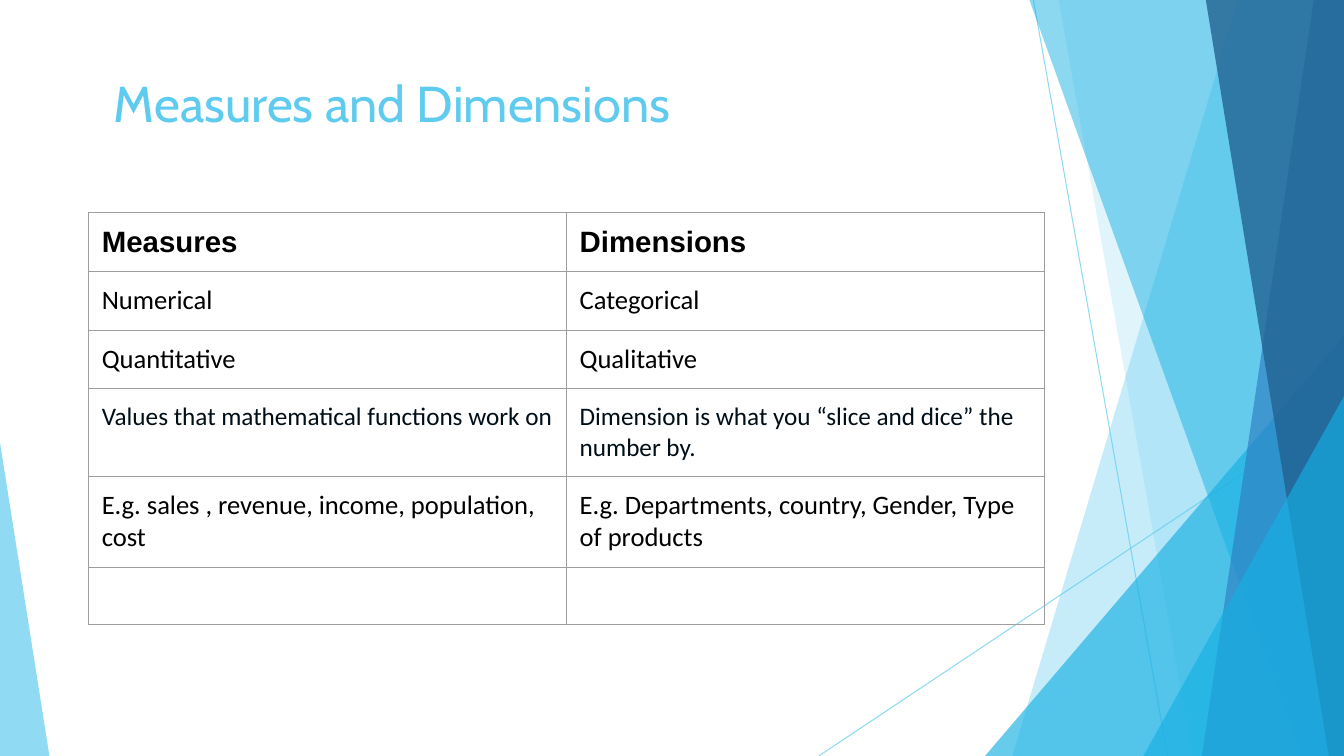
import pptx
import pptx.util
import pptx.dml.color
import pptx.enum.shapes
import pptx.enum.text
import pptx.oxml
import pptx.oxml.ns
from lxml import etree

Inches, Pt = pptx.util.Inches, pptx.util.Pt
RGBColor = pptx.dml.color.RGBColor

SKY = RGBColor(0x5F, 0xCB, 0xEF)
CYAN = RGBColor(0x16, 0xB0, 0xE3)
BLUE = RGBColor(0x2E, 0x83, 0xC3)
NAVY = RGBColor(0x22, 0x62, 0x92)
BLACK = RGBColor(0, 0, 0)
INK = RGBColor(0x00, 0x0E, 0x17)
GRID = RGBColor(0x9E, 0x9E, 0x9E)

# Content
TITLE = "Measures and Dimensions"
HEADER = ("Arial", 21, BLACK, True)
BODY = ("Calibri", 19, BLACK, False)
DETAIL = ("Calibri", 18, INK, False)
ROWS = [  # height, text style, cell texts
    (0.58, HEADER, ("Measures", "Dimensions")),
    (0.58, BODY, ("Numerical", "Categorical")),
    (0.58, BODY, ("Quantitative", "Qualitative")),
    (0.57, DETAIL, ("Values that mathematical functions work on",
                    "Dimension is what you “slice and dice” the number by.")),
    (0.9, BODY, ("E.g. sales , revenue, income, population, cost",
                 "E.g. Departments, country, Gender, Type of products")),
    (0.56, BODY, ("", "")),
]

# Backdrop, in inches
WIDTH, HEIGHT = 13.33, 7.5
RAYS = [((10.25, 0), (11.58, HEIGHT)), ((WIDTH, 4.03), (8.12, HEIGHT))]
FACETS = [  # band: left edge at top and bottom; wedge: left, top, width, apex
    ("band", (12.28, 10.04), SKY, 35),
    ("band", (10.5, 11.83), SKY, 20),
    ("wedge", (9.77, 3.33, 3.56, 1), CYAN, 65),
    ("band", (10.21, 12.91), CYAN, 49),
    ("band", (13.03, 11.92), BLUE, 69),
    ("band", (11.96, 13.18), NAVY, 80),
    ("wedge", (11.34, 3.93, 1.99, 1), CYAN, 65),
    ("wedge", (0, 4.39, 0.49, 0), SKY, 69),
]


def set_opacity(fill_owner, percent):
    color = next(fill_owner.iter(pptx.oxml.ns.qn("a:srgbClr")))
    alpha = etree.SubElement(color, pptx.oxml.ns.qn("a:alpha"))
    alpha.set("val", str(percent * 1000))


def add_ray(page, start, end):
    ray = page.shapes.add_connector(
        pptx.enum.shapes.MSO_CONNECTOR.STRAIGHT,
        *[Inches(value) for value in start + end])
    ray.line.color.rgb = SKY
    ray.line.width = Pt(0.75)
    properties = ray._element.spPr
    set_opacity(properties, 69)
    etree.SubElement(properties, pptx.oxml.ns.qn("a:effectLst"))


def add_facet(page, kind, geometry, color, opacity):
    if kind == "band":
        top_left, bottom_left = geometry
        corners = [(WIDTH, 0), (WIDTH, HEIGHT), (bottom_left, HEIGHT)]
        outline = page.shapes.build_freeform(Inches(top_left), 0)
        outline.add_line_segments([(Inches(x), Inches(y)) for x, y in corners])
        facet = outline.convert_to_shape()
    else:
        left, top, width, apex = geometry
        facet = page.shapes.add_shape(
            pptx.enum.shapes.MSO_SHAPE.ISOSCELES_TRIANGLE,
            Inches(left), Inches(top), Inches(width), Inches(HEIGHT - top))
        facet.adjustments[0] = apex
    facet.shadow.inherit = False
    facet.line.fill.background()
    facet.fill.solid()
    facet.fill.fore_color.rgb = color
    set_opacity(facet._element.spPr, opacity)


def add_borders(cell):
    properties = cell._tc.get_or_add_tcPr()
    for position, side in enumerate(("lnL", "lnR", "lnT", "lnB")):
        border = pptx.oxml.parse_xml(
            f'<a:{side} {pptx.oxml.ns.nsdecls("a")} w="{Pt(0.75)}">'
            f'<a:solidFill><a:srgbClr val="{GRID}"/></a:solidFill></a:{side}>')
        properties.insert(position, border)


def fill_cell(cell, text, style):
    cell.fill.background()
    add_borders(cell)
    cell.margin_left = cell.margin_right = Inches(0.13)
    cell.margin_top = cell.margin_bottom = Inches(0.13)
    if text:
        cell.text_frame.text = text
        font = cell.text_frame.paragraphs[0].runs[0].font
        font.name, size, font.color.rgb, font.bold = style
        font.size = Pt(size)


def add_comparison(page):
    frame = page.shapes.add_table(
        len(ROWS), 2, Inches(0.88), Inches(2.11), Inches(9.48),
        Inches(sum(height for height, _, _ in ROWS)))
    table = frame.table
    table.first_row = table.horz_banding = False
    for row, (height, style, texts) in zip(table.rows, ROWS):
        row.height = Inches(height)
        for cell, text in zip(row.cells, texts):
            fill_cell(cell, text, style)


def format_title(title):
    title.left, title.top = Inches(1.03), Inches(0.67)
    title.width, title.height = Inches(9.4), Inches(1.44)
    title.text_frame.text = TITLE
    title.text_frame.vertical_anchor = pptx.enum.text.MSO_ANCHOR.TOP
    para = title.text_frame.paragraphs[0]
    para.alignment = pptx.enum.text.PP_ALIGN.LEFT
    font = para.runs[0].font
    font.name, font.size, font.color.rgb = "Cabin", Pt(36), SKY


def main():
    deck = pptx.Presentation()
    deck.slide_width, deck.slide_height = Inches(WIDTH), Inches(HEIGHT)
    page = deck.slides.add_slide(deck.slide_layouts.get_by_name("Title Only"))
    format_title(page.shapes.title)
    for start, end in RAYS:
        add_ray(page, start, end)
    for facet in FACETS:
        add_facet(page, *facet)
    add_comparison(page)
    deck.save("out.pptx")


if __name__ == "__main__":
    main()
